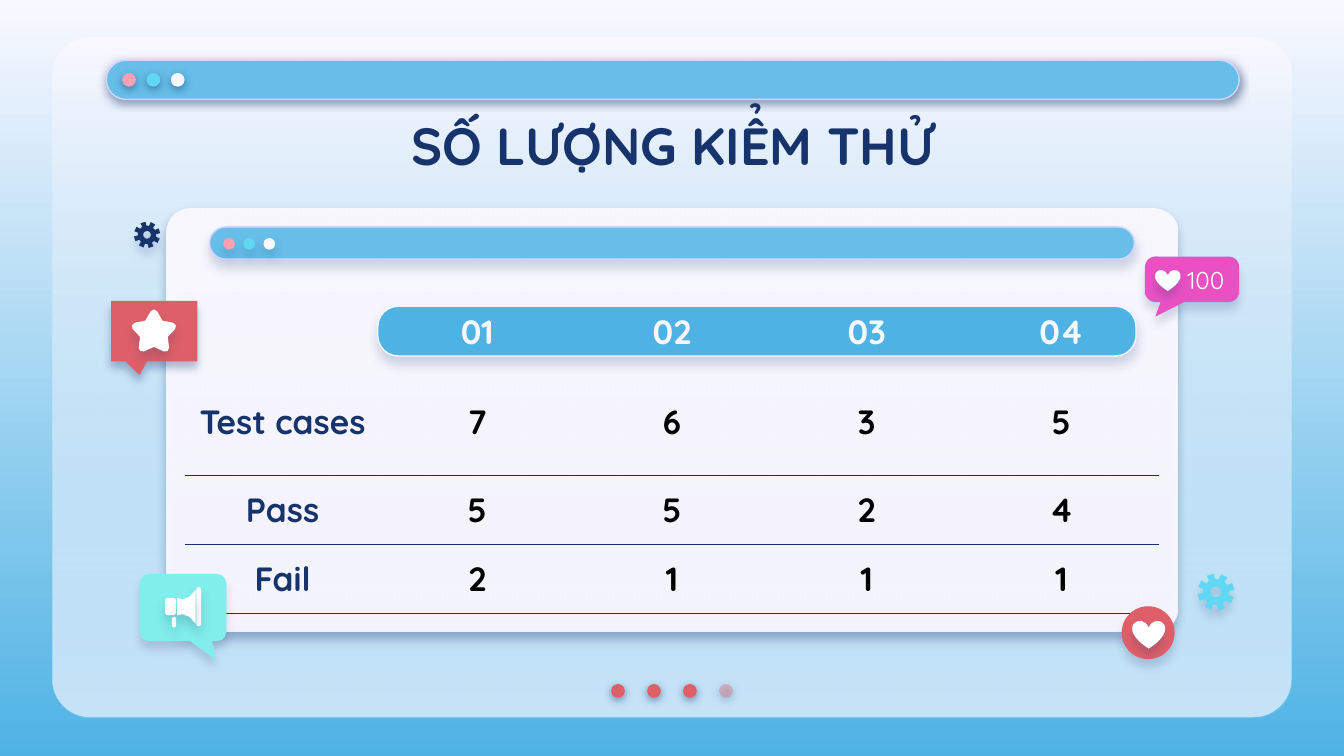
import math
from dataclasses import dataclass
from typing import Optional

from lxml import etree
from pptx import Presentation
from pptx import util as u
from pptx.dml.color import RGBColor
from pptx.enum import shapes as s
from pptx.enum import text as t
from pptx.oxml.ns import qn

NAVY = RGBColor(0x17, 0x33, 0x6B)
SKY = RGBColor(0x4E, 0xB3, 0xE4)
BAR_BLUE = RGBColor(0x66, 0xBE, 0xE9)
LAVENDER = RGBColor(0xD2, 0xD6, 0xFF)
PALE = RGBColor(0xF9, 0xF8, 0xFF)
CYAN = RGBColor(0x60, 0xD8, 0xF4)
ROSE = RGBColor(0xFD, 0xA0, 0xB4)
RED = RGBColor(0xDF, 0x5F, 0x69)
FADED_RED = RGBColor(0xE2, 0x7B, 0x83)
MAGENTA = RGBColor(0xE9, 0x51, 0xC2)
AQUA = RGBColor(0x81, 0xEE, 0xEB)
WHITE = RGBColor(0xFF, 0xFF, 0xFF)
BLACK = RGBColor(0, 0, 0)

ROUND = s.MSO_SHAPE.ROUNDED_RECTANGLE
OVAL = s.MSO_SHAPE.OVAL
HEART = s.MSO_SHAPE.HEART
CALLOUT = s.MSO_SHAPE.ROUNDED_RECTANGULAR_CALLOUT
NO_TABLE_STYLE = "{2D5ABB26-0587-4C30-8999-92F81FD0307C}"


@dataclass(frozen=True)
class Shadow:
    alpha: int
    blur: float
    distance: float


STRONG = Shadow(50, 4.5, 1.5)
CARD = Shadow(18, 5.6, 3.8)
SOFT = Shadow(16, 4.5, 4.5)
BADGE = Shadow(31, 4.5, 3.8)


@dataclass(frozen=True)
class Item:
    kind: s.MSO_SHAPE
    box: tuple
    color: RGBColor
    shadow: Optional[Shadow] = None
    adjustments: tuple = ()
    line: Optional[RGBColor] = None
    line_width: float = 0.75
    alpha: int = 100
    fade_to: Optional[RGBColor] = None


@dataclass(frozen=True)
class Gear:
    x: float
    y: float
    radius: float
    color: RGBColor


def set_gradient(fill, colors: tuple) -> None:
    fill.gradient()
    fill.gradient_angle = 270
    for stop, color, position in zip(fill.gradient_stops, colors, (0, 1)):
        stop.color.rgb = color
        stop.position = position


def add_shadow(shape, shadow: Optional[Shadow]) -> None:
    shape.shadow.inherit = False
    if shadow is None:
        return
    effects = shape.element.spPr.find(qn("a:effectLst"))
    outer = etree.SubElement(effects, qn("a:outerShdw"), blurRad=str(u.Pt(shadow.blur)),
                             dist=str(u.Pt(shadow.distance)), dir="5400000",
                             algn="bl", rotWithShape="0")
    color = etree.SubElement(outer, qn("a:srgbClr"), val=str(NAVY))
    etree.SubElement(color, qn("a:alpha"), val=str(shadow.alpha * 1000))


def draw_item(slide, item: Item):
    shape = slide.shapes.add_shape(item.kind, *map(u.Cm, item.box))
    for index, value in enumerate(item.adjustments):
        shape.adjustments[index] = value
    if item.fade_to is None:
        shape.fill.solid()
        shape.fill.fore_color.rgb = item.color
    else:
        set_gradient(shape.fill, (item.color, item.fade_to))
    if item.alpha < 100:
        last_color = list(shape.element.spPr.iter(qn("a:srgbClr")))[-1]
        etree.SubElement(last_color, qn("a:alpha"), val=str(item.alpha * 1000))
    if item.line is None:
        shape.line.fill.background()
    else:
        shape.line.color.rgb = item.line
        shape.line.width = u.Pt(item.line_width)
        etree.SubElement(shape.line._get_or_add_ln(), qn("a:round"))
    add_shadow(shape, item.shadow)
    return shape


def draw_dots(slide, left: float, top: float, size: float, step: float,
              colors: tuple, shadow: Shadow) -> None:
    for index, color in enumerate(colors):
        alpha = 44 if color == FADED_RED else 100
        box = (left + index * step, top, size, size)
        draw_item(slide, Item(OVAL, box, color, shadow, alpha=alpha))


def draw_outline(slide, contours: list, color: RGBColor, shadow: Shadow) -> None:
    outlines = [[(u.Cm(x), u.Cm(y)) for x, y in contour] for contour in contours]
    builder = slide.shapes.build_freeform(*outlines[0][0])
    for index, points in enumerate(outlines):
        if index:
            builder.move_to(*points[0])
        builder.add_line_segments(points[1:], close=True)
    shape = builder.convert_to_shape()
    shape.fill.solid()
    shape.fill.fore_color.rgb = color
    shape.line.fill.background()
    add_shadow(shape, shadow)


def draw_gear(slide, gear: Gear) -> None:
    def point(angle: float, ratio: float) -> tuple:
        radians = math.radians(angle)
        return (gear.x + gear.radius * ratio * math.cos(radians),
                gear.y + gear.radius * ratio * math.sin(radians))

    tooth = ((-14, 0.7), (-11, 1), (11, 1), (14, 0.7))
    rim = [point(start + offset, ratio) for start in range(-108, 252, 45) for offset, ratio in tooth]
    hole = [point(angle, 0.29) for angle in range(360, 0, -15)]
    draw_outline(slide, [rim, hole], gear.color, SOFT)


def write_text(frame, text: str, size: float, color: RGBColor, bold: bool = True) -> None:
    paragraph = frame.paragraphs[0]
    paragraph.alignment = t.PP_ALIGN.CENTER
    run = paragraph.add_run()
    run.text = text
    run.font.color.rgb = color
    for name, value in {"name": "Quicksand", "size": u.Pt(size), "bold": bold}.items():
        setattr(run.font, name, value)


def add_label(slide, box: tuple, margin: float, text: str, size: float,
              color: RGBColor, bold: bool) -> None:
    frame = slide.shapes.add_textbox(*map(u.Cm, box)).text_frame
    values = {"word_wrap": True, "vertical_anchor": t.MSO_ANCHOR.MIDDLE}
    values |= {f"margin_{side}": u.Cm(margin) for side in ("left", "top", "right", "bottom")}
    for name, value in values.items():
        setattr(frame, name, value)
    write_text(frame, text, size, color, bold)


def add_bottom_border(cell) -> None:
    properties = cell._tc.get_or_add_tcPr()
    border = etree.Element(qn("a:lnB"), w=str(u.Pt(0.75)))
    fill = etree.SubElement(border, qn("a:solidFill"))
    etree.SubElement(fill, qn("a:srgbClr"), val=str(NAVY))
    properties.insert(0, border)


def draw_results(slide, rows: list) -> None:
    heights = (1.37, 2.03, 1.3, 1.3)
    width = 3.68
    frame = slide.shapes.add_table(len(rows), len(rows[0]), u.Cm(3.5), u.Cm(5.59),
                                   u.Cm(width * len(rows[0])), u.Cm(sum(heights)))
    table = frame.table
    table.first_row = table.horz_banding = False
    frame.element.find(".//" + qn("a:tableStyleId")).text = NO_TABLE_STYLE
    for column in table.columns:
        column.width = u.Cm(width)
    for row_index, values in enumerate(rows):
        table.rows[row_index].height = u.Cm(heights[row_index])
        for column_index, value in enumerate(values):
            cell = table.cell(row_index, column_index)
            cell.fill.background()
            cell.vertical_anchor = t.MSO_ANCHOR.MIDDLE
            for side in ("left", "top", "right", "bottom"):
                setattr(cell, f"margin_{side}", u.Cm(0.25))
            if row_index:
                add_bottom_border(cell)
            if value:
                color = PALE if row_index == 0 else BLACK if column_index else NAVY
                write_text(cell.text_frame, value, 18, color)


def main() -> None:
    presentation = Presentation()
    presentation.slide_width, presentation.slide_height = u.Cm(25.4), u.Cm(14.29)
    slide = presentation.slides.add_slide(presentation.slide_layouts[6])
    set_gradient(slide.background.fill, (PALE, SKY))

    window_dots = (ROSE, CYAN, PALE)
    panel = (0.99, 0.71, 23.42, 12.85)
    draw_item(slide, Item(ROUND, panel, PALE, adjustments=(0.056,)))
    draw_item(slide, Item(ROUND, panel, PALE, adjustments=(0.056,), alpha=35, fade_to=BAR_BLUE))
    draw_dots(slide, 11.55, 12.93, 0.26, 0.68, (RED, RED, RED, FADED_RED), STRONG)
    draw_item(slide, Item(ROUND, (2.01, 1.14, 21.41, 0.74), BAR_BLUE, STRONG, (0.5,), LAVENDER))
    draw_dots(slide, 2.31, 1.38, 0.26, 0.46, window_dots, STRONG)

    for gear in (Gear(2.78, 4.44, 0.25, NAVY), Gear(22.98, 11.19, 0.35, CYAN)):
        draw_gear(slide, gear)

    card = (3.15, 3.94, 19.1, 8)
    draw_item(slide, Item(ROUND, card, PALE, CARD, (0.056,)))
    draw_item(slide, Item(ROUND, card, PALE, CARD, (0.056,), alpha=87, fade_to=PALE))
    draw_item(slide, Item(ROUND, (3.96, 4.29, 17.48, 0.61), BAR_BLUE, CARD, (0.5,), LAVENDER))
    draw_dots(slide, 4.22, 4.5, 0.22, 0.38, window_dots, CARD)
    draw_item(slide, Item(ROUND, (7.14, 5.79, 14.33, 0.94), SKY, CARD, (0.41,), PALE))
    draw_results(slide, [
        ["", "01", "02", "03", "04"],
        ["Test cases", "7", "6", "3", "5"],
        ["Pass", "5", "5", "2", "4"],
        ["Fail", "2", "1", "1", "1"],
    ])
    add_label(slide, (2.01, 1.93, 21.41, 1.6), 0.25, "SỐ LƯỢNG KIỂM THỬ", 28, NAVY, True)

    icons = [
        Item(CALLOUT, (21.64, 4.85, 1.78, 0.86), MAGENTA, SOFT, (-0.39, 0.82, 0.23)),
        Item(HEART, (21.83, 5.1, 0.48, 0.4), WHITE, SOFT),
        Item(CALLOUT, (2.1, 5.69, 1.63, 1.14), RED, BADGE, (-0.17, 0.73, 0)),
        Item(s.MSO_SHAPE.STAR_5_POINT, (2.56, 5.92, 0.7, 0.66), WHITE, CARD, (0.27,), WHITE, 4),
        Item(CALLOUT, (2.64, 10.85, 1.64, 1.27), AQUA, SOFT, (0.38, 0.78, 0.14)),
        Item(ROUND, (3.71, 11.1, 0.09, 0.74), WHITE, CARD, (0.5,)),
        Item(ROUND, (3.12, 11.3, 0.21, 0.33), WHITE, CARD, (0.3,)),
        Item(ROUND, (3.25, 11.66, 0.08, 0.2), WHITE, CARD, (0.5,)),
        Item(OVAL, (21.2, 11.46, 1, 1), RED, SOFT),
        Item(HEART, (21.4, 11.73, 0.62, 0.53), WHITE, SOFT),
    ]
    for icon in icons:
        draw_item(slide, icon)
    megaphone_cone = [(3.35, 11.3), (3.45, 11.33), (3.58, 11.28), (3.7, 11.15),
                      (3.7, 11.79), (3.58, 11.66), (3.45, 11.61), (3.35, 11.63)]
    draw_outline(slide, [megaphone_cone], WHITE, CARD)
    add_label(slide, (22.28, 4.95, 1.02, 0.66), 0, "100", 13, WHITE, False)
    presentation.save("out.pptx")


if __name__ == "__main__":
    main()
